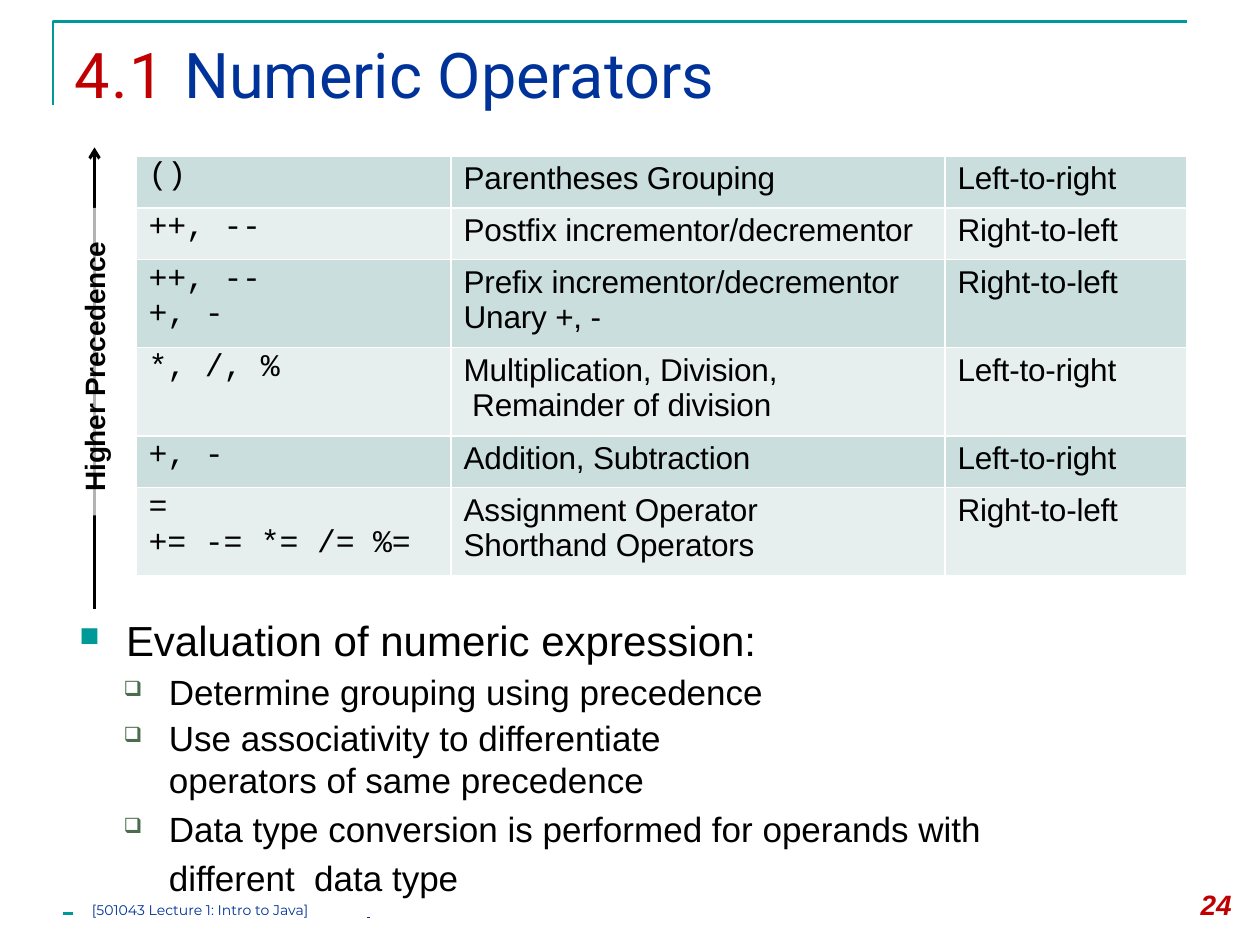
from pptx import Presentation
from pptx.dml.color import RGBColor
from pptx.enum.shapes import MSO_CONNECTOR, MSO_SHAPE
from pptx.enum.text import MSO_ANCHOR, MSO_AUTO_SIZE, PP_ALIGN
from pptx.oxml.ns import qn
from pptx.util import Inches, Pt
from lxml.etree import SubElement

TEAL = RGBColor(0x00, 0x99, 0x99)
GREEN = RGBColor(0x4B, 0x6C, 0x4E)
NAVY = RGBColor(0x00, 0x33, 0x99)
RED = RGBColor(0xC0, 0x00, 0x00)
BLACK = RGBColor(0x00, 0x00, 0x00)
WHITE = RGBColor(0xFF, 0xFF, 0xFF)
BANDS = (RGBColor(0xCA, 0xDE, 0xDE), RGBColor(0xE7, 0xEE, 0xEE))

OPERATORS = [
    ("()", "Parentheses Grouping", "Left-to-right"),
    ("++, --", "Postfix incrementor/decrementor", "Right-to-left"),
    ("++, --\n+, -", "Prefix incrementor/decrementor\nUnary +, -", "Right-to-left"),
    ("*, /, %", "Multiplication, Division,\v Remainder of division", "Left-to-right"),
    ("+, -", "Addition, Subtraction", "Left-to-right"),
    ("=\n+= -= *= /= %=", "Assignment Operator\nShorthand Operators", "Right-to-left"),
]
EVALUATION = [
    ("Evaluation of numeric expression:", 0, 4.5, 1),
    ("Determine grouping using precedence", 1, 2.9, 1),
    ("Use associativity to differentiate\voperators of same precedence", 1, 2.4, 1),
    ("Data type conversion is performed for operands with\vdifferent  data type", 1, 0, 1.17),
]
LEVELS = [
    ("■", TEAL, 65, 0.41, 0.37, 24),
    ("❑", GREEN, 60, 0.75, 0.36, 20),
]


def style(run, face, size, color, bold=False, italic=False, spacing=0):
    font = run.font
    font.name, font.size, font.color.rgb = face, Pt(size), color
    font.bold, font.italic = bold, italic
    run._r.get_or_add_rPr().set("spc", str(round(spacing * 100)))


def add_run(paragraph, text, *look, **options):
    run = paragraph.add_run()
    run.text = text
    style(run, *look, **options)
    return run


def prepare_frame(frame, top_inset=0):
    frame.word_wrap = True
    frame.auto_size = MSO_AUTO_SIZE.NONE
    frame.vertical_anchor = MSO_ANCHOR.TOP
    frame.margin_left = frame.margin_right = frame.margin_bottom = 0
    frame.margin_top = Inches(top_inset)


def add_text_frame(slide, box, top_inset=0):
    frame = slide.shapes.add_textbox(*map(Inches, box)).text_frame
    prepare_frame(frame, top_inset)
    return frame


def add_line(slide, start, end, color, width):
    line = slide.shapes.add_connector(
        MSO_CONNECTOR.STRAIGHT, *map(Inches, start + end))
    line.line.color.rgb = color
    line.line.width = Pt(width)
    SubElement(line._element.spPr, qn("a:effectLst"))
    return line


def add_frame_lines(slide, left, top, width, height):
    builder = slide.shapes.build_freeform(Inches(left), Inches(top + height))
    builder.add_line_segments(
        [(Inches(left), Inches(top)), (Inches(left + width), Inches(top))], close=False)
    corner = builder.convert_to_shape()
    corner.shadow.inherit = False
    corner.fill.background()
    corner.line.color.rgb = TEAL
    corner.line.width = Pt(1.56)


def add_title(slide, *box):
    title = slide.shapes.title
    title.left, title.top, title.width, title.height = map(Inches, box)
    prepare_frame(title.text_frame, 0.01)
    heading = title.text_frame.paragraphs[0]
    heading.alignment = PP_ALIGN.LEFT
    heading.space_before = Pt(1)
    add_run(heading, "4.1 ", "Roboto", 36, RED, spacing=1)
    add_run(heading, "Numeric Operators", "Roboto", 36, NAVY)


def add_cell_borders(cell):
    properties = cell._tc.get_or_add_tcPr()
    for position, side in enumerate(("a:lnL", "a:lnR", "a:lnT", "a:lnB")):
        border = properties.makeelement(qn(side), {"w": str(Pt(1))})
        fill = SubElement(border, qn("a:solidFill"))
        SubElement(fill, qn("a:srgbClr"), val=str(WHITE))
        properties.insert(position, border)


def fill_cell(cell, text, is_code, band):
    cell.fill.solid()
    cell.fill.fore_color.rgb = band
    cell.margin_left = Inches(0.1)
    cell.margin_right = cell.margin_bottom = 0
    cell.margin_top = Inches(0.02 if is_code else 0.04)
    cell.text_frame.text = text
    cell.text_frame.paragraphs[0].space_before = Pt(1.4 if is_code else 3.1)
    for paragraph in cell.text_frame.paragraphs:
        for run in paragraph.runs:
            style(run, "Courier New" if is_code else "Arial", 18, BLACK, spacing=-0.1)
    add_cell_borders(cell)


def add_operator_table(slide, *box):
    table = slide.shapes.add_table(len(OPERATORS), 3, *map(Inches, box)).table
    for column, width in zip(table.columns, (2.5, 3.92, 1.92)):
        column.width = Inches(width)
    for index, operator in enumerate(OPERATORS):
        two_lines = any(mark in operator[1] for mark in "\n\v")
        table.rows[index].height = Inches(0.7 if two_lines else 0.41)
        for column, text in enumerate(operator):
            fill_cell(table.cell(index, column), text, column == 0, BANDS[index % 2])


def add_precedence_arrow(slide, left, top, width, height):
    center = left + width / 2
    arrow = add_line(slide, (center, top + height), (center, top), BLACK, 1.75)
    SubElement(arrow.line._get_or_add_ln(), qn("a:tailEnd"), type="arrow")

    veil = slide.shapes.add_shape(
        MSO_SHAPE.RECTANGLE, *map(Inches, (left, top + 0.48, width, 2.44)))
    veil.shadow.inherit = False
    veil.line.fill.background()
    veil.fill.solid()
    veil.fill.fore_color.rgb = WHITE
    veil_color = veil._element.spPr.find(qn("a:solidFill"))[0]
    SubElement(veil_color, qn("a:alpha"), val="70000")

    frame = add_text_frame(slide, (center - 0.13, top + 0.69, 0.28, 2.04))
    frame._txBody.bodyPr.set("vert", "vert270")
    label = frame.paragraphs[0]
    label.line_spacing = Pt(18.6)
    add_run(label, "Higher Precedence", "Arial", 16, BLACK, bold=True, spacing=-0.1)


def add_bullet(paragraph, symbol, color, percent, margin, hanging):
    properties = paragraph._p.get_or_add_pPr()
    properties.set("marL", str(Inches(margin)))
    properties.set("indent", str(-Inches(hanging)))
    bullet_color = SubElement(properties, qn("a:buClr"))
    SubElement(bullet_color, qn("a:srgbClr"), val=str(color))
    SubElement(properties, qn("a:buSzPct"), val=str(percent * 1000))
    SubElement(properties, qn("a:buChar"), char=symbol)


def add_evaluation(slide, *box):
    frame = add_text_frame(slide, box, 0.06)
    frame.text = "\n".join(step[0] for step in EVALUATION)
    for paragraph, (_, level, before, spacing) in zip(frame.paragraphs, EVALUATION):
        *bullet, size = LEVELS[level]
        paragraph.level = level
        paragraph.space_before = Pt(before)
        paragraph.line_spacing = spacing
        add_bullet(paragraph, *bullet)
        for run in paragraph.runs:
            style(run, "Arial", size, BLACK)


def add_footer(slide, left, top, width, height):
    add_line(slide, (left - 0.23, 7.25), (left - 0.15, 7.25), TEAL, 1.56)
    footer = add_text_frame(slide, (left, top, width, height)).paragraphs[0]
    footer.line_spacing = Pt(18.9)
    tabs = SubElement(footer._p.get_or_add_pPr(), qn("a:tabLst"))
    for stop in (2.18, 8.8):
        SubElement(tabs, qn("a:tab"), pos=str(Inches(stop)), algn="l")
    add_run(footer, "[501043 Lecture 1: Intro to Java]\t", "Montserrat", 8, NAVY)
    add_run(footer, " ", "Montserrat", 8, NAVY).font.underline = True
    add_run(footer, "\t24", "Arial", 16, RED, bold=True, italic=True, spacing=-0.1)


def main():
    presentation = Presentation()
    presentation.slide_width, presentation.slide_height = Inches(10), Inches(7.5)
    slide = presentation.slides.add_slide(presentation.slide_layouts[5])
    add_frame_lines(slide, 0.42, 0.17, 9, 0.66)
    add_title(slide, 0.59, 0.27, 5.13, 0.63)
    add_operator_table(slide, 1.08, 1.24, 8.34, 3.33)
    add_precedence_arrow(slide, 0.42, 1.17, 0.66, 3.66)
    add_evaluation(slide, 0.59, 4.82, 8.51, 1.95)
    add_footer(slide, 0.73, 7.05, 9.13, 0.28)
    presentation.save("out.pptx")


if __name__ == "__main__":
    main()
